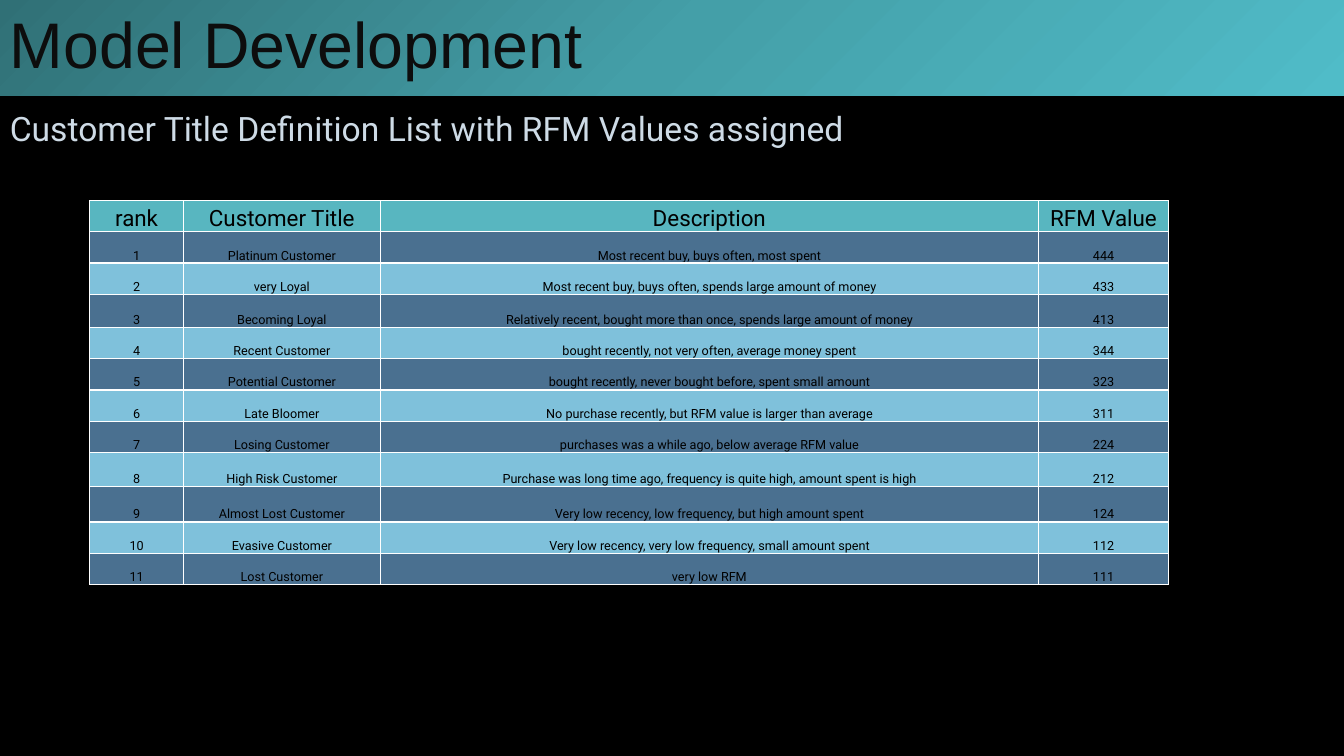
from dataclasses import dataclass

from lxml import etree
from pptx import Presentation
from pptx.dml.color import RGBColor as RGB
from pptx.enum.shapes import MSO_SHAPE as SHAPE
from pptx.enum.text import MSO_ANCHOR as ANCHOR, PP_ALIGN as ALIGN
from pptx.oxml import parse_xml
from pptx.oxml.ns import nsdecls, qn
from pptx.util import Inches, Pt


@dataclass(frozen=True)
class Theme:
    background: str = "000000"
    banner_stops: tuple = ((0, "307076"), (50, "449FA8"), (100, "50BCC8"))
    heading: str = "0D0D0D"
    subtitle: str = "CEDBE6"
    header_fill: str = "58B6C0"
    row_fills: tuple = ("4A7090", "7FC1DB")
    cell_text: str = "000000"
    border: str = "FFFFFF"
    heading_size: int = 46
    subtitle_size: int = 24
    header_size: int = 16
    cell_size: int = 9
    heading_font: str = "Arial"
    body_font: str = "Roboto"


theme = Theme()


def write(frame, text, font, size, color, align=ALIGN.LEFT, spacing=None):
    frame.text = text
    frame.word_wrap = True
    paragraph = frame.paragraphs[0]
    paragraph.alignment = align
    paragraph.line_spacing = spacing
    run_font = paragraph.runs[0].font
    run_font.name = font
    run_font.size = Pt(size)
    run_font.color.rgb = RGB.from_string(color)


def add_borders(cell):
    """Draw a 1 pt line on all four sides; lines must precede the fill."""
    properties = cell._tc.get_or_add_tcPr()
    for position, side in enumerate(("lnL", "lnR", "lnT", "lnB")):
        properties.insert(position, parse_xml(
            f'<a:{side} {nsdecls("a")} w="12700"><a:solidFill>'
            f'<a:srgbClr val="{theme.border}"/></a:solidFill></a:{side}>'))


prs = Presentation()
prs.slide_width, prs.slide_height = Inches(13.33), Inches(7.5)
slide = prs.slides.add_slide(prs.slide_layouts[6])
slide.background.fill.solid()
slide.background.fill.fore_color.rgb = RGB.from_string(theme.background)

# Subtitle
subtitle = slide.shapes.add_textbox(0, Inches(0.95), prs.slide_width, Inches(0.69))
subtitle.text_frame.vertical_anchor = ANCHOR.MIDDLE
write(subtitle.text_frame, "Customer Title Definition List with RFM Values assigned",
      theme.body_font, theme.subtitle_size, theme.subtitle, spacing=0.9)

# Customer table
column_widths = (0.93, 1.95, 6.53, 1.29)
row_height = 0.31
taller_rows = {3: 0.33, 8: 0.34, 9: 0.35}
customers = [
    ("Platinum Customer", "Most recent buy, buys often, most spent", 444),
    ("very Loyal", "Most recent buy, buys often, spends large amount of money", 433),
    ("Becoming Loyal",
     "Relatively recent, bought more than once, spends large amount of money", 413),
    ("Recent Customer", "bought recently, not very often, average money spent", 344),
    ("Potential Customer", "bought recently, never bought before, spent small amount", 323),
    ("Late Bloomer", "No purchase recently, but RFM value is larger than average", 311),
    ("Losing Customer", "purchases was a while ago, below average RFM value", 224),
    ("High Risk Customer",
     "Purchase was long time ago, frequency is quite high, amount spent is high", 212),
    ("Almost Lost Customer", "Very low recency, low frequency, but high amount spent", 124),
    ("Evasive Customer", "Very low recency, very low frequency, small amount spent", 112),
    ("Lost Customer", "very low RFM", 111),
]
rows = [("rank", "Customer Title", "Description", "RFM Value")]
rows += [(rank, *customer) for rank, customer in enumerate(customers, 1)]

customer_table = slide.shapes.add_table(
    len(rows), len(column_widths), Inches(0.89), Inches(1.99),
    Inches(sum(column_widths)), Inches(row_height * len(rows))).table
for column, width in zip(customer_table.columns, column_widths):
    column.width = Inches(width)
for rank, values in enumerate(rows):
    customer_table.rows[rank].height = Inches(taller_rows.get(rank, row_height))
    is_header = rank == 0
    fill = theme.header_fill if is_header else theme.row_fills[(rank - 1) % 2]
    size = theme.header_size if is_header else theme.cell_size
    for column_index, value in enumerate(values):
        cell = customer_table.cell(rank, column_index)
        cell.margin_left = cell.margin_right = cell.margin_top = Inches(0.01)
        cell.margin_bottom = 0
        cell.vertical_anchor = ANCHOR.BOTTOM
        cell.fill.solid()
        cell.fill.fore_color.rgb = RGB.from_string(fill)
        write(cell.text_frame, str(value), theme.body_font, size,
              theme.cell_text, ALIGN.CENTER)
        add_borders(cell)

# Heading banner
banner = slide.shapes.add_shape(SHAPE.RECTANGLE, 0, 0, prs.slide_width, Inches(0.95))
banner.shadow.inherit = False
banner.line.fill.background()
banner.fill.gradient()
banner.fill.gradient_angle = 315
stops = banner._element.spPr.find(qn("a:gradFill")).find(qn("a:gsLst"))
for stop in list(stops):
    stops.remove(stop)
for percent, color in theme.banner_stops:
    stop = etree.SubElement(stops, qn("a:gs"), pos=str(percent * 1000))
    etree.SubElement(stop, qn("a:srgbClr"), val=color)
banner.text_frame.vertical_anchor = ANCHOR.MIDDLE
write(banner.text_frame, "Model Development", theme.heading_font,
      theme.heading_size, theme.heading, spacing=0.9)

prs.save("out.pptx")
